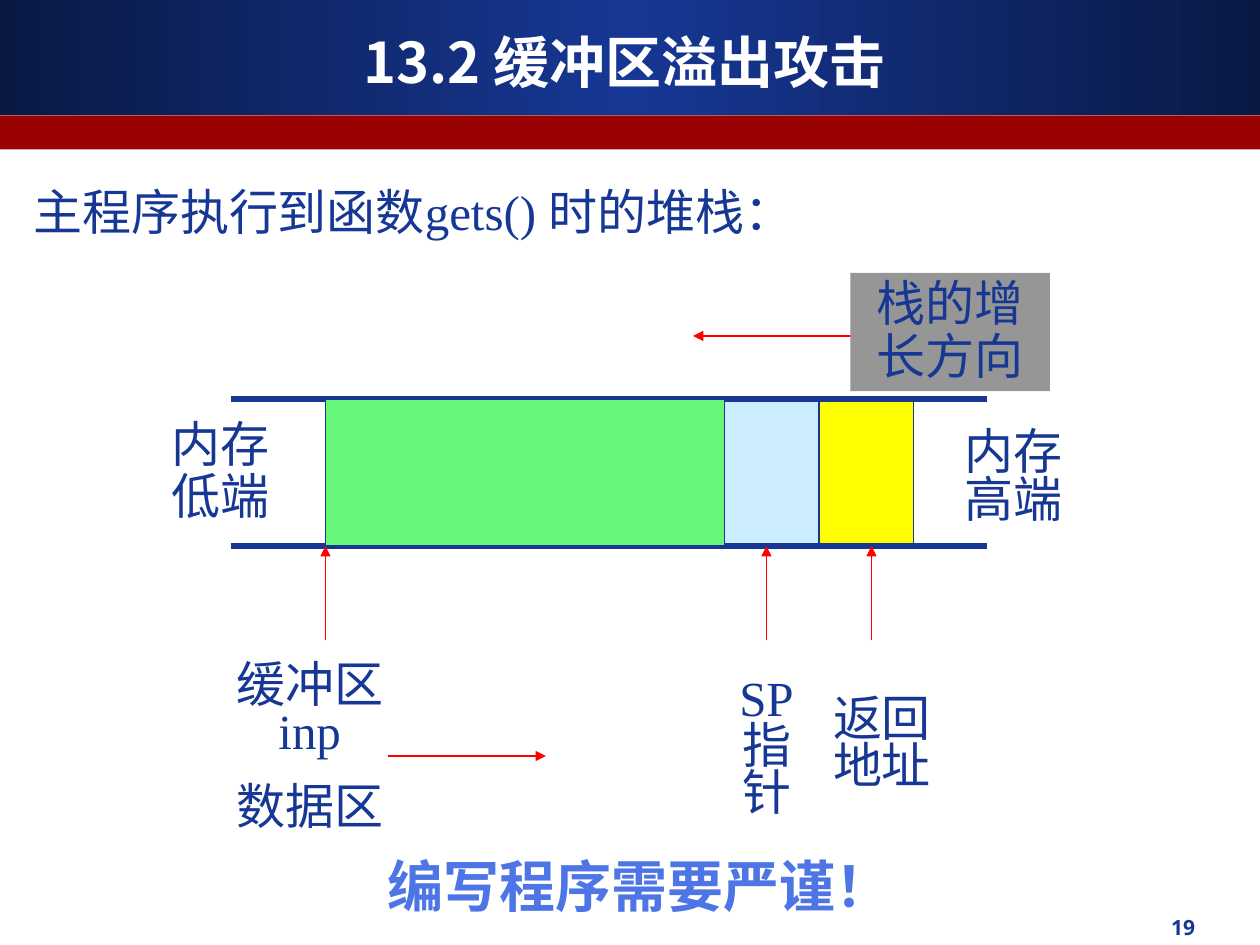
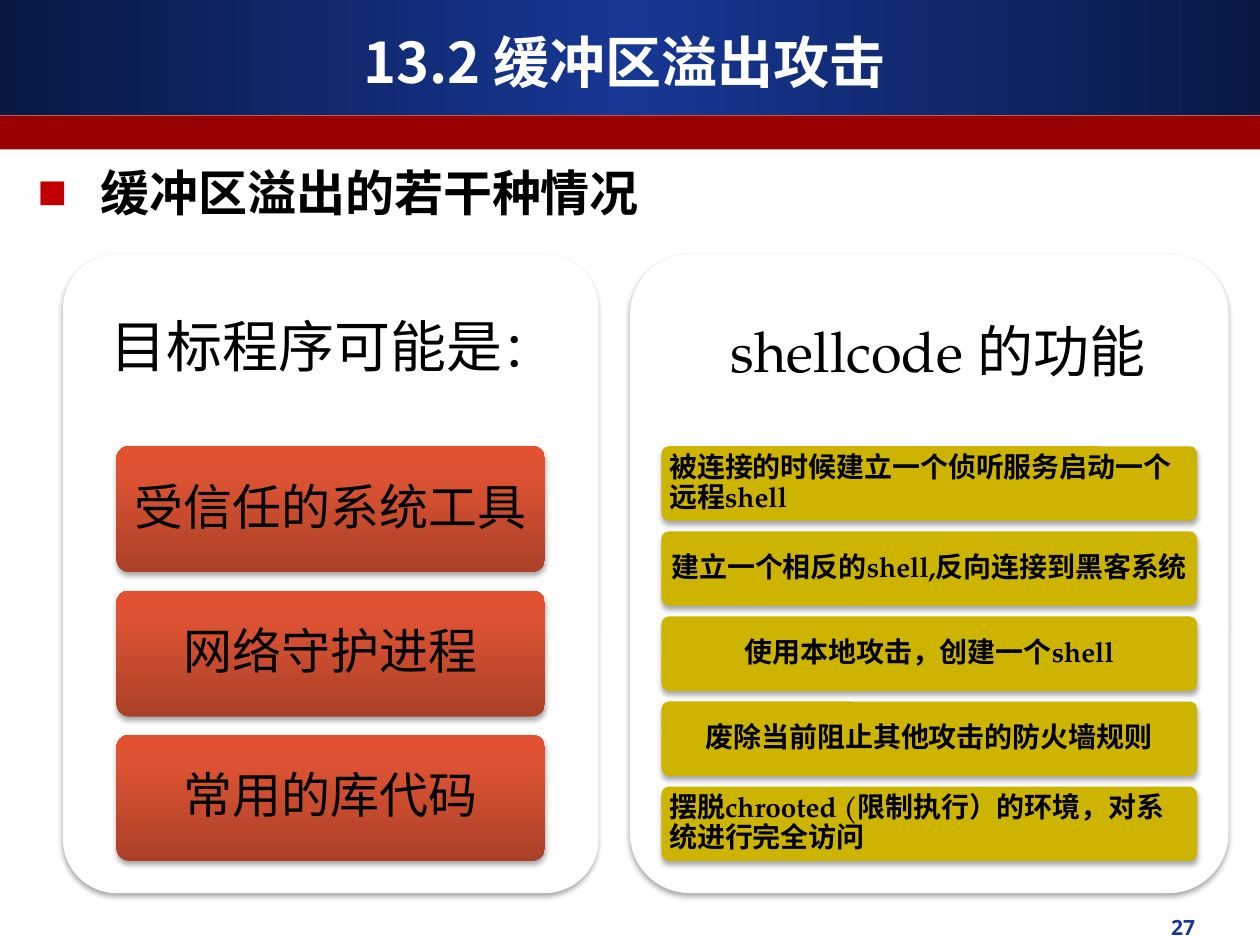
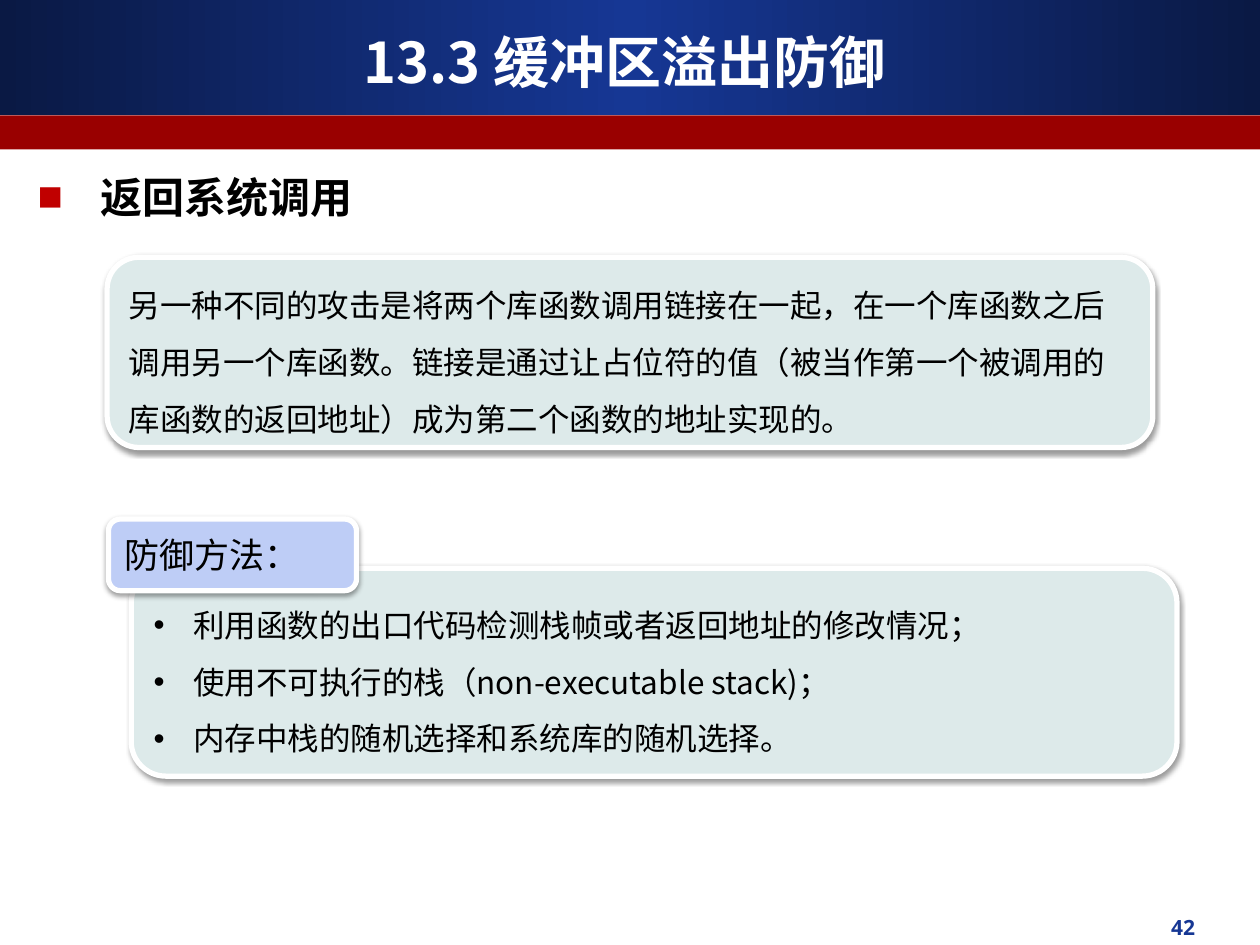
from dataclasses import dataclass
from typing import NamedTuple, Optional

from lxml import etree
from pptx import Presentation
from pptx import util as u
from pptx.dml.color import RGBColor
from pptx.enum import shapes, text
from pptx.oxml.ns import qn

COLORS = {
    "navy": "163794", "band_edge": "0A1944", "red_band": "990000",
    "white": "FFFFFF", "black": "000000", "arrow": "FF0000",
    "marker": "C00000", "pointer": "CCECFF", "address": "FFFF00",
    "buffer": "67F778", "growth": "969696", "warning": "4D75E5",
    "brick_low": "AB4027", "brick_mid": "DE5433", "brick_top": "E35230",
    "olive": "CCB400", "mint": "DDEAEA", "periwinkle": "BECDF6",
}
CJK = "Noto Sans CJK SC"
TIMES = "Times New Roman"
ROBOTO = "Roboto Condensed"
PAGELLA = "TeX Gyre Pagella"
LEFT, CENTER, RIGHT = text.PP_ALIGN.LEFT, text.PP_ALIGN.CENTER, text.PP_ALIGN.RIGHT
TOP, MIDDLE = text.MSO_ANCHOR.TOP, text.MSO_ANCHOR.MIDDLE
RECT, ROUND = shapes.MSO_SHAPE.RECTANGLE, shapes.MSO_SHAPE.ROUNDED_RECTANGLE


class Box(NamedTuple):
    """Left, top, width and height in points."""
    left: float
    top: float
    width: float
    height: float


class Run(NamedTuple):
    """A piece of a paragraph with its own font or size."""
    words: str
    font: Optional[str] = None
    size: Optional[float] = None


class Bullet(NamedTuple):
    """A bullet sign, its hanging indent and its colour."""
    sign: str
    hang: float
    color: str


class Shadow(NamedTuple):
    """A shadow that falls straight down."""
    blur: float
    distance: float
    opacity: int


class Arrow(NamedTuple):
    """A straight arrow from one point to another."""
    x1: float
    y1: float
    x2: float
    y2: float


@dataclass
class Label:
    """A centred caption of the stack diagram."""
    box: Box
    paragraphs: list
    spacings: tuple


@dataclass
class Panel:
    """A white panel with a heading and a column of cards."""
    box: Box
    heading: list
    heading_inset: float
    card_margin: float
    card_height: float
    card_fill: object
    cards: list
    card_format: dict


def rgb(name: str) -> RGBColor:
    """Return the named colour."""
    return RGBColor.from_string(COLORS[name])


def sub(parent, tag: str, **attributes):
    """Add a DrawingML element to its parent."""
    return etree.SubElement(parent, qn(tag), {k: str(v) for k, v in attributes.items()})


def points(values) -> list:
    """Turn numbers into lengths in points."""
    return [u.Pt(value) for value in values]


def fill_gradient(shape, stops: list, angle: int) -> None:
    """Fill a shape with a linear gradient of (percent, colour) stops."""
    shape.fill.solid()
    properties = shape._element.spPr
    solid = properties.find(qn("a:solidFill"))
    gradient = etree.Element(qn("a:gradFill"), rotWithShape="1")
    stop_list = sub(gradient, "a:gsLst")
    for percent, color in stops:
        stop = sub(stop_list, "a:gs", pos=percent * 1000)
        sub(stop, "a:srgbClr", val=COLORS[color])
    sub(gradient, "a:lin", ang=angle * 60000, scaled=0)
    properties.replace(solid, gradient)


def add_bullet(paragraph, bullet: Bullet) -> None:
    """Give a paragraph a bullet with a hanging indent."""
    properties = paragraph._p.get_or_add_pPr()
    properties.set("marL", str(u.Pt(bullet.hang)))
    properties.set("indent", str(-u.Pt(bullet.hang)))
    sub(sub(properties, "a:buClr"), "a:srgbClr", val=COLORS[bullet.color])
    sub(properties, "a:buFont", typeface="Arial")
    sub(properties, "a:buChar", char=bullet.sign)


def write(shape, paragraphs: list, *, font: str = CJK, size: float = 28,
          color: str = "black", bold: bool = False, align=LEFT, anchor=MIDDLE,
          spacings: tuple = (), before: float = 0, insets: tuple = (7.2, 3.6),
          grow: bool = False, wrap: bool = True,
          bullet: Optional[Bullet] = None) -> None:
    """Write paragraphs, each a string or a list of runs, into a shape."""
    frame = shape.text_frame
    frame.word_wrap = wrap
    frame.auto_size = (text.MSO_AUTO_SIZE.SHAPE_TO_FIT_TEXT if grow
                       else text.MSO_AUTO_SIZE.NONE)
    frame.vertical_anchor = anchor
    frame.margin_left = frame.margin_right = u.Pt(insets[0])
    frame.margin_top = frame.margin_bottom = u.Pt(insets[1])
    for index, content in enumerate(paragraphs):
        paragraph = frame.add_paragraph() if index else frame.paragraphs[0]
        paragraph.alignment = align
        if spacings:
            paragraph.line_spacing = spacings[min(index, len(spacings) - 1)]
        if before:
            paragraph.space_before = u.Pt(before)
        if bullet:
            add_bullet(paragraph, bullet)
        for piece in [Run(content)] if isinstance(content, str) else content:
            run = paragraph.add_run()
            run.text = piece.words
            run.font.size = u.Pt(piece.size or size)
            run.font.bold = bold
            run.font.color.rgb = rgb(color)
            run.font.name = piece.font or font
            sub(run._r.get_or_add_rPr(), "a:ea", typeface=CJK)


def add_text(slide, box: Box, paragraphs: list, **text_format) -> None:
    """Add a text box."""
    write(slide.shapes.add_textbox(*points(box)), paragraphs, **text_format)


def add_block(slide, box: Box, fill, *, kind=RECT, line: Optional[str] = None,
              line_width: float = 1, radius: Optional[float] = None,
              shadow: Optional[Shadow] = None):
    """Add a preset shape; fill is a colour name or a list of gradient stops."""
    block = slide.shapes.add_shape(kind, *points(box))
    if isinstance(fill, str):
        block.fill.solid()
        block.fill.fore_color.rgb = rgb(fill)
    else:
        fill_gradient(block, fill, 270)
    if line:
        block.line.color.rgb = rgb(line)
        block.line.width = u.Pt(line_width)
    else:
        block.line.fill.background()
    if radius is not None:
        block.adjustments[0] = radius
    block.shadow.inherit = False
    if shadow:
        effects = block._element.spPr.find(qn("a:effectLst"))
        outer = sub(effects, "a:outerShdw", blurRad=u.Pt(shadow.blur),
                    dist=u.Pt(shadow.distance), dir=90 * 60000, rotWithShape=0)
        shade = sub(outer, "a:srgbClr", val=COLORS["black"])
        sub(shade, "a:alpha", val=shadow.opacity * 1000)
    return block


def add_line(slide, ends: Arrow, color: str, width: float, head: bool = False) -> None:
    """Add a straight line, with an arrowhead at its end if asked."""
    line = slide.shapes.add_connector(shapes.MSO_CONNECTOR.STRAIGHT, *points(ends))
    line.line.color.rgb = rgb(color)
    line.line.width = u.Pt(width)
    if head:
        sub(line.line._get_or_add_ln(), "a:tailEnd", type="triangle", w="med", len="med")
    sub(line._element.spPr, "a:effectLst")


def start_slide(deck, title: str, number: int):
    """Add a slide with the shared bands, title and page number."""
    slide = deck.slides.add_slide(deck.slide_layouts[6])
    band = add_block(slide, Box(0, 0, 720, 65.5), "navy")
    fill_gradient(band, [(0, "band_edge"), (50, "navy"), (100, "band_edge")], 0)
    add_block(slide, Box(0, 66, 720, 19.4), "red_band")
    add_text(slide, Box(24, 12.5, 666, 44.5), [title], size=32, color="white",
             bold=True, align=CENTER)
    add_text(slide, Box(462, 519, 228, 25), [str(number)], font="Open Sans", size=12,
             color="navy", bold=True, align=RIGHT, anchor=TOP)
    return slide


def add_topic(slide, top: float, height: float, topic: str, size: float) -> None:
    """Add the bulleted topic line below the bands."""
    add_text(slide, Box(14.4, top, 505, height), [topic], size=size, bold=True,
             anchor=TOP, grow=True, bullet=Bullet("■", 36, "marker"))


def add_panel(slide, panel: Panel) -> None:
    """Add a panel with its heading and evenly spaced cards."""
    soft = Shadow(3.1, 1.8, 35)
    box = panel.box
    add_block(slide, box, "white", kind=ROUND, radius=0.1, shadow=soft)
    add_text(slide, Box(box.left + 3, box.top + 3, box.width - 6, 103), panel.heading,
             font=PAGELLA, size=32, align=CENTER, spacings=(0.9,),
             insets=(panel.heading_inset, panel.heading_inset))
    cards_top, cards_height = 255, 237
    step = (cards_height - panel.card_height) / (len(panel.cards) - 1)
    for index, (words, align) in enumerate(panel.cards):
        card = add_block(slide, Box(box.left + panel.card_margin, cards_top + index * step,
                                    box.width - 2 * panel.card_margin, panel.card_height),
                         panel.card_fill, kind=ROUND, radius=0.1, shadow=soft)
        write(card, [words], font=PAGELLA, align=align, spacings=(0.9,),
              **panel.card_format)


def build_stack_slide(deck) -> None:
    """Draw the stack while gets() runs."""
    slide = start_slide(deck, "13.2 缓冲区溢出攻击", 19)
    top, bottom = 228, 312
    caption = dict(font=ROBOTO, color="navy", before=16, grow=True)
    add_text(slide, Box(12, 90, 702, 51), ["主程序执行到函数gets() 时的堆栈："],
             spacings=(1.3,), **{**caption, "font": TIMES})
    add_block(slide, Box(414, top, 54, bottom - top), "pointer", line="navy")
    add_block(slide, Box(468, top, 54, bottom - top), "address", line="navy")
    for y in (top, bottom):
        add_line(slide, Arrow(132, y, 564, y), "navy", 3)
    add_block(slide, Box(186, top, 228, bottom - top), "buffer", line="navy")

    labels = [
        Label(Box(540, 240, 78, 61), ["内存", "高端"], (0.9, 0.2)),
        Label(Box(90, 239, 72, 61), ["内存", "低端"], (0.8, 0.3)),
        Label(Box(462, 396, 84, 61), ["返回地址"], (0.8,)),
        Label(Box(408, 384, 60, 88), [[Run("SP", TIMES), Run("指针")]], (0.8,)),
        Label(Box(126, 375, 102, 106), [[Run("缓冲区"), Run("inp", TIMES)], "数据区"], (0.8,)),
    ]
    for label in labels:
        add_text(slide, label.box, label.paragraphs, align=CENTER,
                 spacings=label.spacings, **caption)

    pointers = [Arrow(x, 366, x, bottom) for x in (186, 438, 498)]
    for arrow in pointers + [Arrow(222, 432, 312, 432), Arrow(486, 192, 396, 192)]:
        add_line(slide, arrow, "arrow", 1, head=True)
    growth = add_block(slide, Box(486, 156, 114, 67.5), "growth")
    write(growth, ["栈的增长方向"], align=CENTER, spacings=(0.9,), **caption)
    add_text(slide, Box(214.5, 483, 307, 46), ["编写程序需要严谨！"], font="Arial", size=32,
             color="warning", bold=True, anchor=TOP, grow=True, wrap=False)


def build_cases_slide(deck) -> None:
    """Show the target programs and what shellcode does."""
    slide = start_slide(deck, "13.2 缓冲区溢出攻击", 27)
    add_topic(slide, 89.3, 41, "缓冲区溢出的若干种情况", 28)
    targets = ["受信任的系统工具", "网络守护进程", "常用的库代码"]
    add_panel(slide, Panel(
        Box(36, 145.4, 306, 365), [[Run("目标程序可能是"), Run("：", size=28)]], 9.6,
        30.6, 72, [(0, "brick_low"), (80, "brick_mid"), (100, "brick_top")],
        [(target, CENTER) for target in targets], dict(size=28, insets=(5.6, 4.2))))
    functions = [
        ("被连接的时候建立一个侦听服务启动一个远程shell", LEFT),
        ("建立一个相反的shell,反向连接到黑客系统", CENTER),
        ("使用本地攻击，创建一个shell", CENTER),
        ("废除当前阻止其他攻击的防火墙规则", CENTER),
        ("摆脱chrooted (限制执行）的环境，对系统进行完全访问", LEFT),
    ]
    add_panel(slide, Panel(
        Box(360, 145.4, 342, 365), [[Run(" ", size=40), Run("shellcode 的功能")]], 12,
        18, 42.5, "olive", functions, dict(size=16, bold=True, insets=(3.2, 2.4))))


def build_defence_slide(deck) -> None:
    """Explain chained library calls and the defences."""
    slide = start_slide(deck, "13.3 缓冲区溢出防御", 42)
    add_topic(slide, 94.3, 36, "返回系统调用", 24)
    framed = dict(kind=ROUND, line="white", line_width=3, shadow=Shadow(3.1, 1.6, 38))
    explanation = add_block(slide, Box(61.2, 147, 597.6, 108.7), "mint", **framed)
    write(explanation, [
        "另一种不同的攻击是将两个库函数调用链接在一起，在一个库函数之后调用另一个库函数。"
        "链接是通过让占位符的值（被当作第一个被调用的库函数的返回地址）"
        "成为第二个函数的地址实现的。"], size=18, spacings=(1.5,))
    defences = add_block(slide, Box(75, 324.7, 597.6, 118.8), "mint", **framed)
    write(defences, [
        "利用函数的出口代码检测栈帧或者返回地址的修改情况；",
        "使用不可执行的栈（non-executable stack)；",
        "内存中栈的随机选择和系统库的随机选择。",
    ], size=18, spacings=(1.5,), bullet=Bullet("•", 22.5, "black"))
    heading = add_block(slide, Box(62, 296.6, 141.8, 41), "periwinkle", **framed)
    write(heading, ["防御方法："], size=20)


def main() -> None:
    """Build the deck and save it."""
    deck = Presentation()
    deck.slide_width, deck.slide_height = u.Pt(720), u.Pt(540)
    build_stack_slide(deck)
    build_cases_slide(deck)
    build_defence_slide(deck)
    deck.save("out.pptx")


main()
